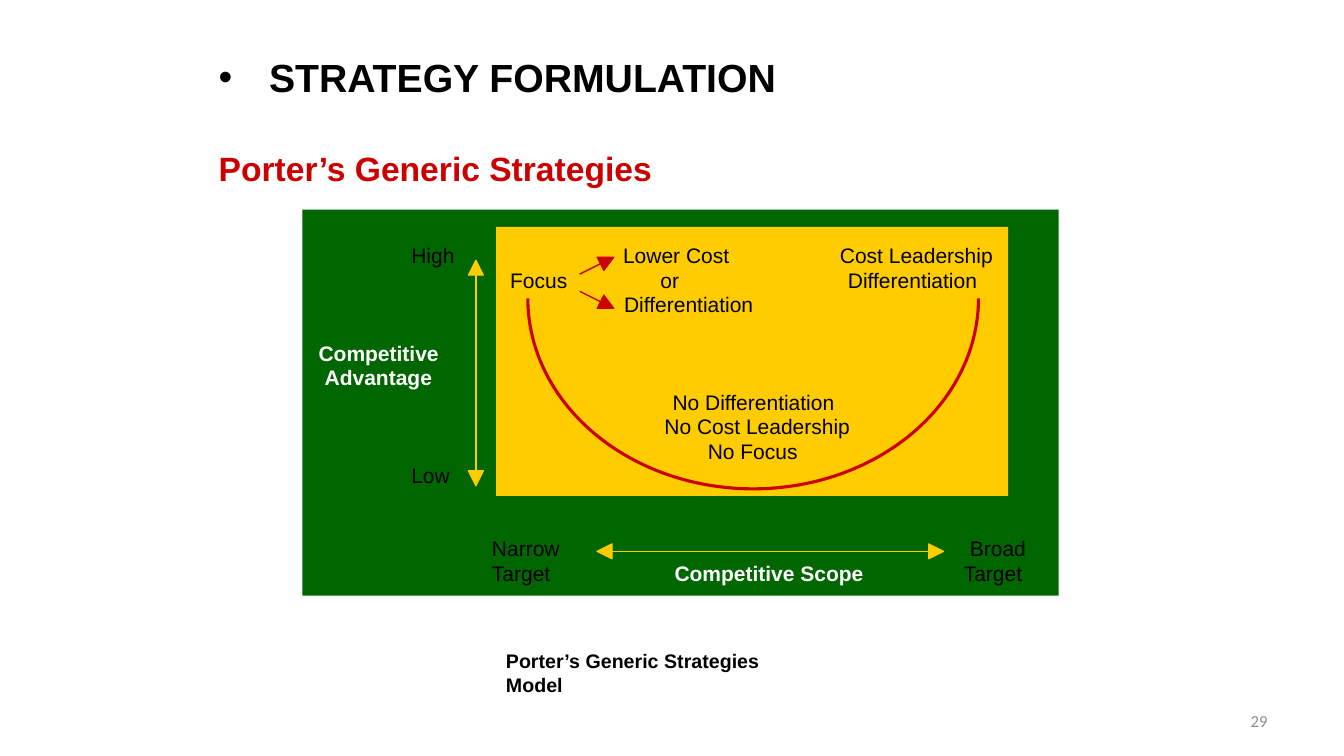
"""Build the slide on Porter's generic strategies."""
import math
from dataclasses import dataclass

from lxml import etree
from pptx import Presentation
from pptx import util as u
from pptx.dml.color import RGBColor
from pptx.enum import shapes, text
from pptx.oxml.ns import qn


@dataclass(frozen=True)
class Theme:
    """Colours, fonts and type sizes."""
    black: str = "000000"
    white: str = "FFFFFF"
    red: str = "CC0000"
    green: str = "006600"
    yellow: str = "FFCC00"
    gray: str = "8C8C8C"
    font: str = "Arial"
    number_font: str = "Calibri"
    title: float = 28
    subtitle: float = 24
    label: float = 15
    caption: float = 14
    number: float = 12


@dataclass(frozen=True)
class Label:
    """A one-line label on a numbered row of the diagram."""
    content: str
    left: float
    row: int
    width: float
    strong: bool = False


@dataclass(frozen=True)
class Arrow:
    """A straight arrow with a solid head at its tip, or at both ends."""
    start: tuple[float, float]
    tip: tuple[float, float]
    color: str
    double: bool = False


THEME = Theme()
FIRST_ROW, ROW_STEP, ROW_HEIGHT = 2.41, 0.242, 0.25
HEAD_LENGTH, HEAD_HALF = 0.15, 0.075
CURVE_CENTER, CURVE_RADII, CURVE_STEPS = (7.47, 2.96), (2.235, 1.89), 60

LABELS = [
    Label("High", 4.08, 0, 0.5),
    Label("Lower Cost", 6.18, 0, 1.2),
    Label("Cost Leadership", 8.33, 0, 1.65),
    Label("Focus", 5.06, 1, 0.65),
    Label("or", 6.55, 1, 0.3),
    Label("Differentiation", 8.41, 1, 1.4),
    Label("Differentiation", 6.19, 2, 1.4),
    Label("Competitive", 3.16, 4, 1.3, True),
    Label("Advantage", 3.22, 5, 1.2, True),
    Label("No Differentiation", 6.67, 6, 1.75),
    Label("No Cost Leadership", 6.59, 7, 2),
    Label("No Focus", 7.02, 8, 1),
    Label("Low", 4.08, 9, 0.5),
    Label("Narrow", 4.88, 12, 0.8),
    Label("Broad", 9.62, 12, 0.7),
    Label("Target", 4.88, 13, 0.7),
    Label("Competitive Scope", 6.69, 13, 2, True),
    Label("Target", 9.56, 13, 0.7),
]

ARROWS = [
    Arrow((5.92, 5.47), (9.36, 5.47), THEME.yellow, True),
    Arrow((5.75, 2.72), (6.09, 2.55), THEME.red),
    Arrow((5.75, 2.89), (6.09, 3.06), THEME.red),
    Arrow((4.72, 4.82), (4.72, 2.58), THEME.yellow, True),
]


def add_panel(page, left: float, top: float, width: float, height: float, color: str) -> None:
    """Draw a plain filled rectangle."""
    panel = page.shapes.add_shape(shapes.MSO_SHAPE.RECTANGLE, *map(u.Inches, (left, top, width, height)))
    panel.shadow.inherit = False
    panel.fill.solid()
    panel.fill.fore_color.rgb = RGBColor.from_string(color)
    panel.line.fill.background()


def add_box(page, left: float, top: float, width: float, height: float, inset: bool = True):
    """Add an empty text box and return its text frame."""
    frame = page.shapes.add_textbox(*map(u.Inches, (left, top, width, height))).text_frame
    frame.word_wrap = True
    if not inset:
        frame.margin_left = frame.margin_top = frame.margin_right = frame.margin_bottom = 0
    return frame


def write(frame, content: str, *, size: float, color: str = THEME.black, bold: bool = False,
          font: str = THEME.font, align=None, space_before: float = 0, bullet: str = "") -> None:
    """Write a formatted paragraph into a text frame."""
    para = frame.paragraphs[0] if not frame.text else frame.add_paragraph()
    para.alignment = align
    para.space_before = u.Pt(space_before)
    span = para.add_run()
    span.text = content
    span.font.name, span.font.size, span.font.bold = font, u.Pt(size), bold
    span.font.color.rgb = RGBColor.from_string(color)
    if bullet:
        settings = para._p.get_or_add_pPr()
        settings.set("marL", str(u.Inches(0.5)))
        settings.set("indent", str(u.Inches(-0.5)))
        etree.SubElement(settings, qn("a:buFont"), typeface=font)
        etree.SubElement(settings, qn("a:buChar"), char=bullet)


def add_outline(canvas, points: list[tuple[float, float]], color: str, weight: float, filled: bool) -> None:
    """Draw a freeform, closed and filled or open."""
    corners = [(u.Inches(x), u.Inches(y)) for x, y in points]
    builder = canvas.shapes.build_freeform(*corners[0])
    builder.add_line_segments(corners[1:], close=filled)
    outline = builder.convert_to_shape()
    outline.shadow.inherit = False
    outline.line.color.rgb = RGBColor.from_string(color)
    outline.line.width = u.Pt(weight)
    if filled:
        outline.fill.solid()
        outline.fill.fore_color.rgb = RGBColor.from_string(color)
    else:
        outline.fill.background()


def add_arrow(page, arrow: Arrow) -> None:
    """Draw an arrow as a group of a shaft and its heads."""
    group = page.shapes.add_group_shape()
    (start_x, start_y), (tip_x, tip_y) = arrow.start, arrow.tip
    length = math.dist(arrow.start, arrow.tip)
    step_x, step_y = (tip_x - start_x) / length, (tip_y - start_y) / length
    heads = [(arrow.tip, 1)] + ([(arrow.start, -1)] if arrow.double else [])
    bases = [(x - way * HEAD_LENGTH * step_x, y - way * HEAD_LENGTH * step_y) for (x, y), way in heads]
    shaft_start = bases[1] if arrow.double else arrow.start
    shaft = group.shapes.add_connector(shapes.MSO_CONNECTOR.STRAIGHT, *map(u.Inches, (*shaft_start, *bases[0])))
    shaft.line.color.rgb = RGBColor.from_string(arrow.color)
    shaft.line.width = u.Pt(1)
    etree.SubElement(shaft._element.spPr, qn("a:effectLst"))
    for (point, _), (x, y) in zip(heads, bases):
        across, down = -HEAD_HALF * step_y, HEAD_HALF * step_x
        corners = [(x + across, y + down), point, (x - across, y - down)]
        add_outline(group, corners, arrow.color, 0.75, True)


def add_curve(page, side: int) -> None:
    """Draw one quarter of the ellipse, right for 1 and left for -1."""
    angles = [math.pi / 2 * step / CURVE_STEPS for step in range(CURVE_STEPS + 1)]
    points = [(CURVE_CENTER[0] + side * CURVE_RADII[0] * math.sin(angle),
               CURVE_CENTER[1] + CURVE_RADII[1] * math.cos(angle)) for angle in angles]
    add_outline(page, points, THEME.red, 2.25, False)


def main() -> None:
    """Build and save the deck."""
    deck = Presentation()
    deck.slide_width, deck.slide_height = u.Inches(13.33), u.Inches(7.5)
    page = deck.slides.add_slide(deck.slide_layouts[6])

    add_panel(page, 3, 2.08, 7.5, 3.83, THEME.green)
    heading = add_box(page, 2.07, 0.48, 9.12, 1.45)
    write(heading, "STRATEGY FORMULATION", size=THEME.title, bold=True, bullet="•")
    write(heading, "Porter’s Generic Strategies", size=THEME.subtitle, color=THEME.red, bold=True, space_before=34)
    caption = add_box(page, 4.92, 6.39, 3.2, 0.57)
    write(caption, "Porter’s Generic Strategies Model", size=THEME.caption, bold=True)
    add_panel(page, 4.92, 2.25, 5.08, 2.67, THEME.yellow)

    for label in LABELS:
        top = FIRST_ROW + label.row * ROW_STEP
        frame = add_box(page, label.left, top, label.width, ROW_HEIGHT, inset=False)
        write(frame, label.content, size=THEME.label, bold=label.strong,
              color=THEME.white if label.strong else THEME.black)
    for side in (1, -1):
        add_curve(page, side)
    for arrow in ARROWS:
        add_arrow(page, arrow)

    number = add_box(page, 9.56, 6.95, 3.11, 0.4)
    number.vertical_anchor = text.MSO_ANCHOR.MIDDLE
    write(number, "29", size=THEME.number, color=THEME.gray, font=THEME.number_font, align=text.PP_ALIGN.RIGHT)
    deck.save("out.pptx")


if __name__ == "__main__":
    main()
